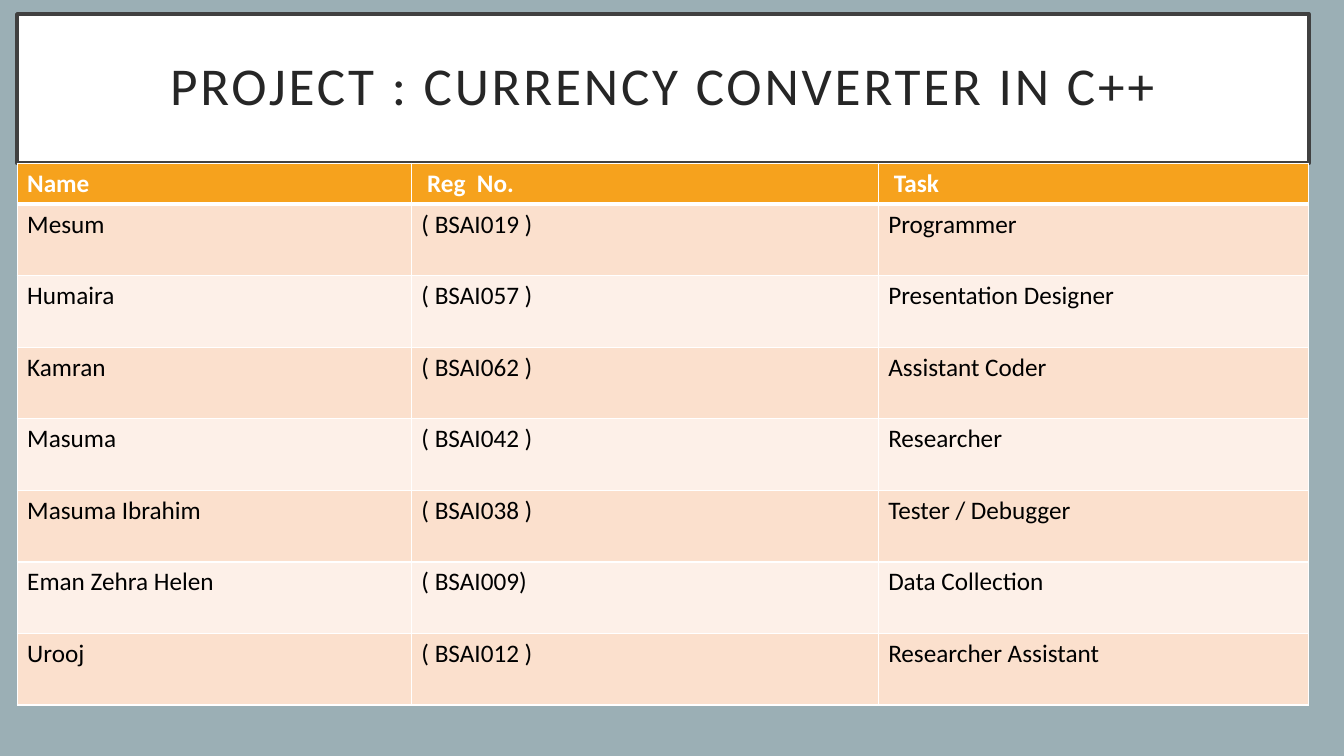
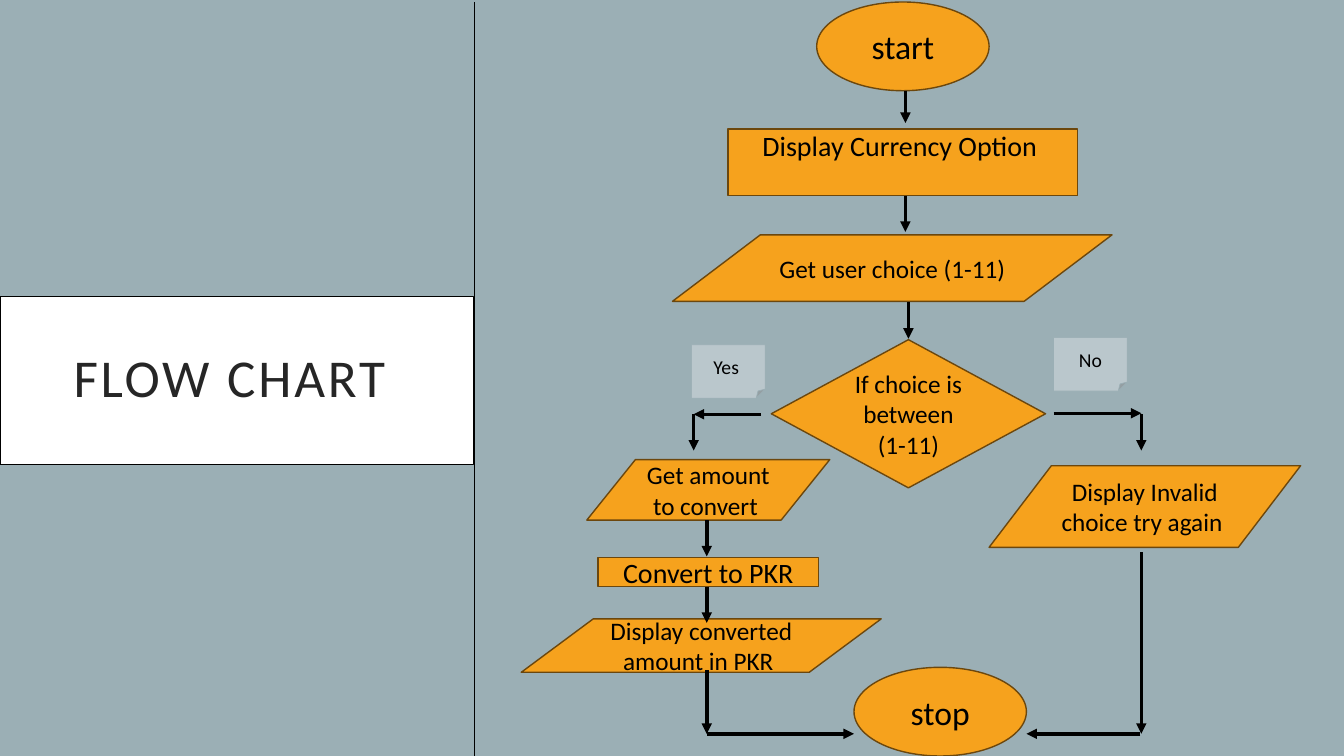
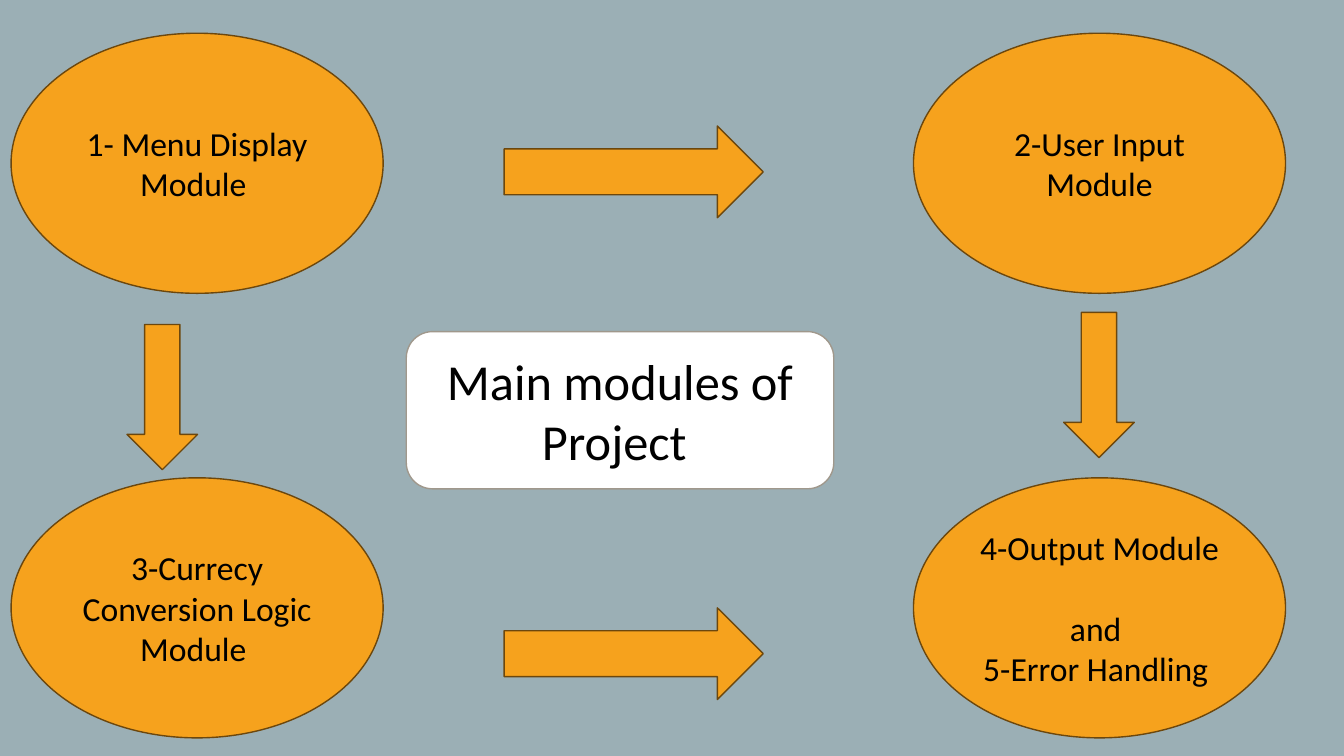
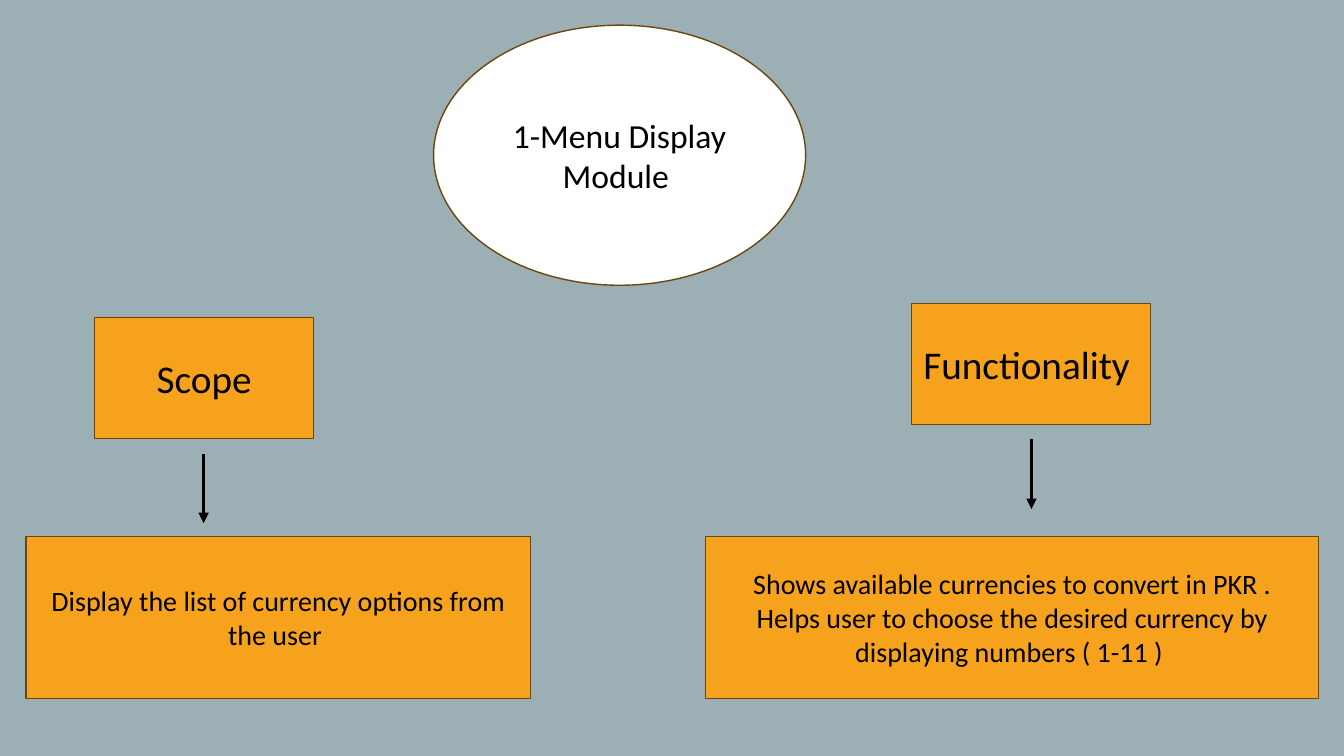
from lxml.etree import SubElement
from pptx import Presentation
from pptx.dml.color import RGBColor
from pptx.enum.shapes import MSO_CONNECTOR, MSO_SHAPE
from pptx.enum.text import MSO_ANCHOR, MSO_AUTO_SIZE, PP_ALIGN
from pptx.oxml.ns import qn
from pptx.util import Pt

PX = 9144
FONT = "Calibri"
COLORS = {
    "background": "9BAFB5",
    "orange": "F6A21D",
    "brown": "6C470D",
    "white": "FFFFFF",
    "black": "000000",
    "title": "262626",
    "frame": "404040",
    "module_line": "A0988C",
    "note": "BAC7CC",
    "band_dark": "FBE0CD",
    "band_light": "FDF0E8",
}
TITLE_ONLY, BLANK = 5, 6
TEAM = [
    ("Name", " Reg  No.", " Task"),
    ("Mesum", "( BSAI019 )", "Programmer"),
    ("Humaira", "( BSAI057 )", "Presentation Designer"),
    ("Kamran", "( BSAI062 )", "Assistant Coder"),
    ("Masuma", "( BSAI042 )", "Researcher"),
    ("Masuma Ibrahim", "( BSAI038 )", "Tester / Debugger"),
    ("Eman Zehra Helen", "( BSAI009)", "Data Collection"),
    ("Urooj", "( BSAI012 )", "Researcher Assistant"),
]


def px(*lengths):
    """Turn px lengths into EMU."""
    return [round(length * PX) for length in lengths]


def color(name):
    """Look up a palette colour."""
    return RGBColor.from_string(COLORS[name])


def paint(shape, fill, line, width):
    """Set the fill and outline of a shape."""
    shape.fill.solid()
    shape.fill.fore_color.rgb = color(fill)
    shape.line.color.rgb = color(line)
    shape.line.width = Pt(width)


def style_text(frame, size, text_color="black", align=PP_ALIGN.CENTER, bold=False):
    """Format every paragraph of a text frame alike."""
    for paragraph in frame.paragraphs:
        paragraph.alignment = align
        paragraph.font.name = FONT
        paragraph.font.size = Pt(size)
        paragraph.font.bold = bold
        paragraph.font.color.rgb = color(text_color)


def add_title(slide, text, box, line, width):
    """Place and format the title placeholder as a white panel."""
    title = slide.shapes.title
    title.left, title.top, title.width, title.height = px(*box)
    paint(title, "white", line, width)
    frame = title.text_frame
    frame.text = text
    frame.word_wrap = True
    frame.auto_size = MSO_AUTO_SIZE.NONE
    frame.vertical_anchor = MSO_ANCHOR.MIDDLE
    frame.margin_left, frame.margin_right = px(30, 30)
    frame.margin_top, frame.margin_bottom = px(20, 20)
    style_text(frame, 38, "title")
    paragraph = frame.paragraphs[0]
    paragraph.line_spacing = 0.9
    paragraph._p.pPr.find(qn("a:defRPr")).set("spc", "200")


def add_node(slide, kind, box, text="", size=18, fill="orange", line="brown", width=1):
    """Add a preset shape with centred text."""
    shape = slide.shapes.add_shape(kind, *px(*box))
    shape.shadow.inherit = False
    paint(shape, fill, line, width)
    frame = shape.text_frame
    frame.word_wrap = True
    frame.vertical_anchor = MSO_ANCHOR.MIDDLE
    if text:
        frame.text = text
        style_text(frame, size)
    return shape


def add_line(slide, start, end, width=2.5, arrow=True):
    """Add a straight black line, with an arrowhead at its end if wanted."""
    connector = slide.shapes.add_connector(MSO_CONNECTOR.STRAIGHT, *px(*start, *end))
    connector.line.color.rgb = color("black")
    connector.line.width = Pt(width)
    if arrow:
        SubElement(connector.get_or_add_ln(), qn("a:tailEnd"), type="triangle")
    SubElement(connector._element.spPr, qn("a:effectLst"))


def add_cell_borders(cell, bottom):
    """Draw white borders around a table cell."""
    properties = cell._tc.get_or_add_tcPr()
    for side, width in (("L", 1), ("R", 1), ("T", 1), ("B", bottom)):
        border = SubElement(properties, qn(f"a:ln{side}"), w=str(Pt(width)))
        fill = SubElement(border, qn("a:solidFill"))
        SubElement(fill, qn("a:srgbClr"), val=COLORS["white"])


def add_team_table(slide, left, top, column_widths, header_height, row_height):
    """Add the banded table of team members."""
    heights = [header_height] + [row_height] * (len(TEAM) - 1)
    box = px(left, top, sum(column_widths), sum(heights))
    table = slide.shapes.add_table(len(TEAM), len(column_widths), *box).table
    for column, width in zip(table.columns, px(*column_widths)):
        column.width = width
    for index, (row, height) in enumerate(zip(table.rows, px(*heights))):
        row.height = height
        header = index == 0
        band = "orange" if header else ("band_light", "band_dark")[index % 2]
        for cell, text in zip(row.cells, TEAM[index]):
            cell.text = text
            style_text(cell.text_frame, 18, "white" if header else "black",
                       PP_ALIGN.LEFT, header)
            add_cell_borders(cell, 3 if header else 1)
            cell.fill.solid()
            cell.fill.fore_color.rgb = color(band)


def build_team(slide):
    """Build the project title and team table."""
    add_title(slide, "PROJECT : CURRENCY CONVERTER IN C++", (17, 14, 1281, 148), "frame", 3)
    add_team_table(slide, 17, 162, (391, 463, 427), 40, 71)


def build_flow_chart(slide):
    """Build the flow chart."""
    add_title(slide, "FLOW CHART ", (0, 294, 470, 167), "black", 0.75)
    data = MSO_SHAPE.FLOWCHART_DATA
    add_node(slide, MSO_SHAPE.OVAL, (810, 2, 171, 88), "start", 24)
    option = add_node(slide, MSO_SHAPE.RECTANGLE, (722, 128, 347, 66),
                      "Display Currency Option ", 20)
    option.text_frame.vertical_anchor = MSO_ANCHOR.TOP
    option.text_frame.margin_top = 0
    add_node(slide, data, (667, 233, 436, 66), "Get user choice (1-11)")
    add_node(slide, MSO_SHAPE.DIAMOND, (765, 337, 272, 147), "If choice is between (1-11)")
    add_node(slide, data, (582, 456, 241, 60), "Get amount to convert ")
    add_node(slide, MSO_SHAPE.RECTANGLE, (593, 553, 219, 29), "Convert to PKR", 20)
    add_node(slide, data, (981, 462, 309, 81), "Display Invalid choice try again ")
    add_node(slide, data, (517, 614, 357, 53), "Display converted amount in PKR ")
    add_node(slide, MSO_SHAPE.OVAL, (847, 662, 171, 88), "stop", 24)
    for text, left, top in (("Yes ", 686, 342), ("No", 1045, 335)):
        add_node(slide, MSO_SHAPE.FOLDED_CORNER, (left, top, 73, 53), text, 14,
                 "note", "background", 0.5)
    for x, top, bottom in ((898, 90, 122), (898, 194, 230), (901, 300, 336),
                           (688, 411, 447), (701, 516, 552), (701, 582, 618),
                           (701, 665, 728), (1132, 411, 447), (1132, 548, 728)):
        add_line(slide, (x, top), (x, bottom))
    for y, start, end in ((411, 755, 688), (410, 1045, 1132),
                          (728, 701, 847), (728, 1131, 1018)):
        add_line(slide, (start, y), (end, y))
    add_line(slide, (470, 2), (470, 750), 0.5, arrow=False)


def build_modules(slide):
    """Build the overview of the main modules."""
    add_node(slide, MSO_SHAPE.ROUNDED_RECTANGLE, (403, 329, 424, 156),
             "Main modules of Project ", 36, "white", "module_line")
    rows = (
        (33, "1- Menu Display Module ", "2-User Input Module"),
        (474, "3-Currecy Conversion Logic Module ",
         "4-Output Module\nand \n5-Error Handling "),
    )
    for top, *texts in rows:
        for left, text in zip((11, 906), texts):
            module = add_node(slide, MSO_SHAPE.OVAL, (left, top, 369, 258), text, 24)
    module.text_frame.paragraphs[0].space_after = Pt(29)
    for top in (125, 603):
        add_node(slide, MSO_SHAPE.RIGHT_ARROW, (500, top, 257, 91))
    for left, top in ((126, 322), (1055, 310)):
        add_node(slide, MSO_SHAPE.DOWN_ARROW, (left, top, 70, 144))


def build_menu_module(slide):
    """Build the scope and functionality of the menu module."""
    add_node(slide, MSO_SHAPE.OVAL, (430, 25, 369, 258), "1-Menu Display Module ", 24, "white")
    branches = (
        ("Scope", (94, 315, 217, 120), 202, (26, 532, 500, 161),
         "Display the list of currency options from the user "),
        ("Functionality ", (904, 301, 237, 120), 1023, (700, 532, 608, 161),
         "Shows available currencies to convert in PKR .\n"
         "Helps user to choose the desired currency by displaying numbers ( 1-11 ) "),
    )
    for heading, heading_box, x, detail_box, detail in branches:
        add_node(slide, MSO_SHAPE.RECTANGLE, heading_box, heading, 28)
        add_node(slide, MSO_SHAPE.RECTANGLE, detail_box, detail, 20)
        arrow_top = heading_box[1] + heading_box[3] + 15
        add_line(slide, (x, arrow_top), (x, arrow_top + 69))


def main():
    """Build and save the presentation."""
    presentation = Presentation()
    presentation.slide_width, presentation.slide_height = px(1333, 750)
    background = presentation.slide_master.background.fill
    background.solid()
    background.fore_color.rgb = color("background")
    for layout, build in ((TITLE_ONLY, build_team), (TITLE_ONLY, build_flow_chart),
                          (BLANK, build_modules), (BLANK, build_menu_module)):
        build(presentation.slides.add_slide(presentation.slide_layouts[layout]))
    presentation.save("out.pptx")


if __name__ == "__main__":
    main()
